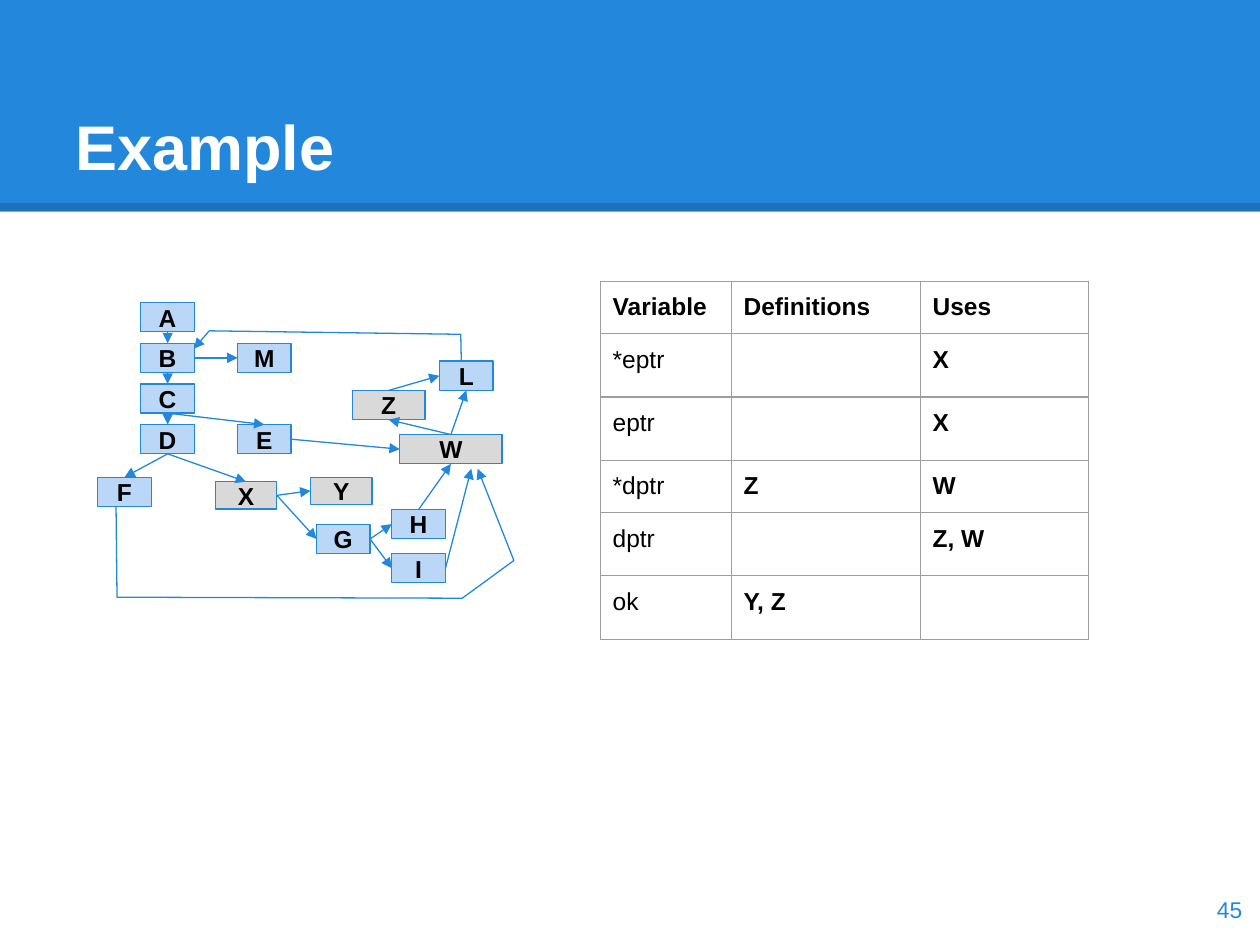
import pptx
import pptx.dml.color
import pptx.enum.shapes
import pptx.enum.text
import pptx.oxml
import pptx.oxml.ns
import pptx.util
from pptx.util import Cm

COLORS = {
    "blue": "2388DB",
    "light_blue": "BBD7F8",
    "gray": "D9D9D9",
    "border": "9E9E9E",
    "black": "000000",
    "white": "FFFFFF",
}
ALIGN = pptx.enum.text.PP_ALIGN
ANCHOR = pptx.enum.text.MSO_ANCHOR
TOP, LEFT, BOTTOM, RIGHT = range(4)

NODE_WIDTH, NODE_HEIGHT = 1.08, 0.59
CHAIN_LEFT, CHAIN_TOP, CHAIN_STEP = 2.84, 6.1, 0.82
BRANCH_LEFT = 4.79

# label: (left, top) in cm
PLAIN_NODES = {
    label: (CHAIN_LEFT, CHAIN_TOP + i * CHAIN_STEP) for i, label in enumerate("ABCD")
}
PLAIN_NODES.update({
    "M": (BRANCH_LEFT, CHAIN_TOP + CHAIN_STEP),
    "E": (BRANCH_LEFT, CHAIN_TOP + 3 * CHAIN_STEP),
    "F": (1.97, 9.62),
    "G": (6.38, 10.57),
    "H": (7.9, 10.27),
    "I": (7.9, 11.16),
    "L": (8.86, 7.28),
})
# label: (left, top, width, height) in cm
MARKED_NODES = {
    "X": (4.34, 9.71, 1.24, 0.55),
    "Y": (6.26, 9.62, 1.24, 0.55),
    "W": (8.06, 8.76, 2.06, NODE_HEIGHT),
    "Z": (7.1, 7.87, 1.47, NODE_HEIGHT),
}
EDGES = [
    ("A", BOTTOM, "B", TOP), ("B", BOTTOM, "C", TOP), ("C", BOTTOM, "D", TOP),
    ("B", RIGHT, "M", LEFT), ("C", BOTTOM, "E", TOP), ("D", BOTTOM, "F", TOP),
    ("D", BOTTOM, "X", TOP), ("X", RIGHT, "Y", LEFT), ("X", RIGHT, "G", LEFT),
    ("G", RIGHT, "H", LEFT), ("G", RIGHT, "I", LEFT), ("H", TOP, "W", BOTTOM),
    ("E", RIGHT, "W", LEFT), ("W", TOP, "Z", BOTTOM), ("Z", TOP, "L", LEFT),
    ("W", TOP, "L", BOTTOM),
]
I_TO_W_END = (9.5, 9.45)
F_TO_W = [(2.34, 10.21), (2.36, 12.04), (9.32, 12.06), (10.36, 11.3), (9.63, 9.45)]
L_TO_B = [(9.3, 7.28), (9.29, 6.74), (4.22, 6.67), (3.91, 7.03)]

VARIABLE_ROWS = [
    ("Variable", "Definitions", "Uses"),
    ("*eptr", "", "X"),
    ("eptr", "", "X"),
    ("*dptr", "Z", "W"),
    ("dptr", "", "Z, W"),
    ("ok", "Y, Z", ""),
]
COLUMN_WIDTHS = (2.64, 3.81, 3.4)
ROW_HEIGHTS = (1.05, 1.09, 1.09, 1.05, 1.09, 1.09)


def rgb(color):
    return pptx.dml.color.RGBColor.from_string(COLORS[color])


def element(tag, attributes="", content=""):
    """Make one DrawingML element."""
    namespace = pptx.oxml.ns.nsdecls("a")
    return pptx.oxml.parse_xml(f"<a:{tag} {namespace} {attributes}>{content}</a:{tag}>")


class SlideBuilder:
    font = "Arial"
    line_width = 0.75

    def __init__(self, slide):
        self.slide = slide
        self.shapes = slide.shapes

    def set_text(self, frame, text, size, color, bold=False, align=ALIGN.LEFT,
                 anchor=ANCHOR.MIDDLE):
        frame.word_wrap = True
        frame.vertical_anchor = anchor
        frame.margin_left = frame.margin_right = Cm(0.25)
        frame.margin_top = frame.margin_bottom = Cm(0.25)
        frame.text = text
        self.style(frame.paragraphs[0], size, color, bold, align)

    def style(self, paragraph, size, color, bold, align=ALIGN.LEFT):
        paragraph.alignment = align
        font = paragraph.font
        font.name, font.size, font.bold = self.font, pptx.util.Pt(size), bold
        font.color.rgb = rgb(color)

    def outline(self, shape, color="blue", width=line_width):
        shape.line.color.rgb = rgb(color)
        shape.line.width = pptx.util.Pt(width)

    def arrowhead(self, shape):
        shape.line._get_or_add_ln().append(element("tailEnd", 'type="triangle"'))

    def rectangle(self, left, top, width, height, fill):
        shape = self.shapes.add_shape(
            pptx.enum.shapes.MSO_SHAPE.RECTANGLE,
            Cm(left), Cm(top), Cm(width), Cm(height))
        shape.shadow.inherit = False
        shape.fill.solid()
        shape.fill.fore_color.rgb = rgb(fill)
        return shape

    def header(self):
        band = self.rectangle(0, 0, 25.4, 4.27, "blue")
        band.line.fill.background()
        edge = self.line((0, 4.17), (25.4, 4.17))
        self.outline(edge, "black", 4.5)
        edge_color = edge.line._get_or_add_ln().find(".//" + pptx.oxml.ns.qn("a:srgbClr"))
        edge_color.append(element("alpha", 'val="15000"'))

    def title(self, text):
        title = self.shapes.title
        title.left, title.top, title.width, title.height = (
            Cm(1.27), Cm(0.76), Cm(22.86), Cm(3.18))
        self.set_text(title.text_frame, text, 36, "white", bold=True, anchor=ANCHOR.BOTTOM)
        # Bring the title in front of the header band
        self.shapes._spTree.append(title._element)

    def node(self, label, left, top, width=NODE_WIDTH, height=NODE_HEIGHT,
             fill="light_blue"):
        node = self.rectangle(left, top, width, height, fill)
        self.outline(node)
        self.set_text(node.text_frame, label, 14, "black", bold=True, align=ALIGN.CENTER)
        return node

    def line(self, start=(0, 0), end=(0, 0)):
        line = self.shapes.add_connector(
            pptx.enum.shapes.MSO_CONNECTOR.STRAIGHT,
            Cm(start[0]), Cm(start[1]), Cm(end[0]), Cm(end[1]))
        line._element.spPr.append(element("effectLst"))
        self.outline(line)
        return line

    def edge(self, source, source_side, target=None, target_side=None, end=(0, 0)):
        """Arrow from a node's side to another node's side, or to a free end."""
        edge = self.line(end=end)
        edge.begin_connect(source, source_side)
        if target is not None:
            edge.end_connect(target, target_side)
        self.arrowhead(edge)

    def bent_arrow(self, points):
        corners = [(Cm(x), Cm(y)) for x, y in points]
        builder = self.shapes.build_freeform(*corners[0])
        builder.add_line_segments(corners[1:], close=False)
        arrow = builder.convert_to_shape()
        arrow.shadow.inherit = False
        arrow.fill.background()
        self.outline(arrow)
        self.arrowhead(arrow)

    def table(self, left, top, rows):
        table = self.shapes.add_table(
            len(rows), len(COLUMN_WIDTHS), Cm(left), Cm(top),
            Cm(sum(COLUMN_WIDTHS)), Cm(sum(ROW_HEIGHTS))).table
        table.first_row = table.horz_banding = False
        for column, width in zip(table.columns, COLUMN_WIDTHS):
            column.width = Cm(width)
        for r, (row, texts) in enumerate(zip(table.rows, rows)):
            row.height = Cm(ROW_HEIGHTS[r])
            for c, text in enumerate(texts):
                self.cell(row.cells[c], text, bold=r == 0 or c > 0)

    def cell(self, cell, text, bold):
        cell.margin_left = cell.margin_right = Cm(0.25)
        cell.margin_top = cell.margin_bottom = Cm(0.25)
        cell.fill.background()
        border = f'<a:solidFill><a:srgbClr val="{COLORS["border"]}"/></a:solidFill>'
        width = f'w="{int(pptx.util.Pt(self.line_width))}"'
        for i, side in enumerate("LRTB"):
            cell._tc.tcPr.insert(i, element(f"ln{side}", width, border))
        if text:
            cell.text = text
            self.style(cell.text_frame.paragraphs[0], 14, "black", bold)

    def page_number(self, number):
        box = self.shapes.add_textbox(Cm(23.77), Cm(17.6), Cm(1.52), Cm(1.45))
        self.set_text(box.text_frame, number, 13, "blue", align=ALIGN.RIGHT)


def main():
    deck = pptx.Presentation()
    deck.slide_width, deck.slide_height = Cm(25.4), Cm(19.05)
    page = SlideBuilder(deck.slides.add_slide(deck.slide_layouts[5]))
    page.header()
    page.bent_arrow(F_TO_W)
    page.title("Example")
    nodes = {label: page.node(label, *place) for label, place in PLAIN_NODES.items()}
    for label, place in MARKED_NODES.items():
        nodes[label] = page.node(label, *place, fill="gray")
    for source, source_side, target, target_side in EDGES:
        page.edge(nodes[source], source_side, nodes[target], target_side)
    page.edge(nodes["I"], RIGHT, end=I_TO_W_END)
    page.bent_arrow(L_TO_B)
    page.table(12.1, 5.67, VARIABLE_ROWS)
    page.page_number("45")
    deck.save("out.pptx")


if __name__ == "__main__":
    main()
